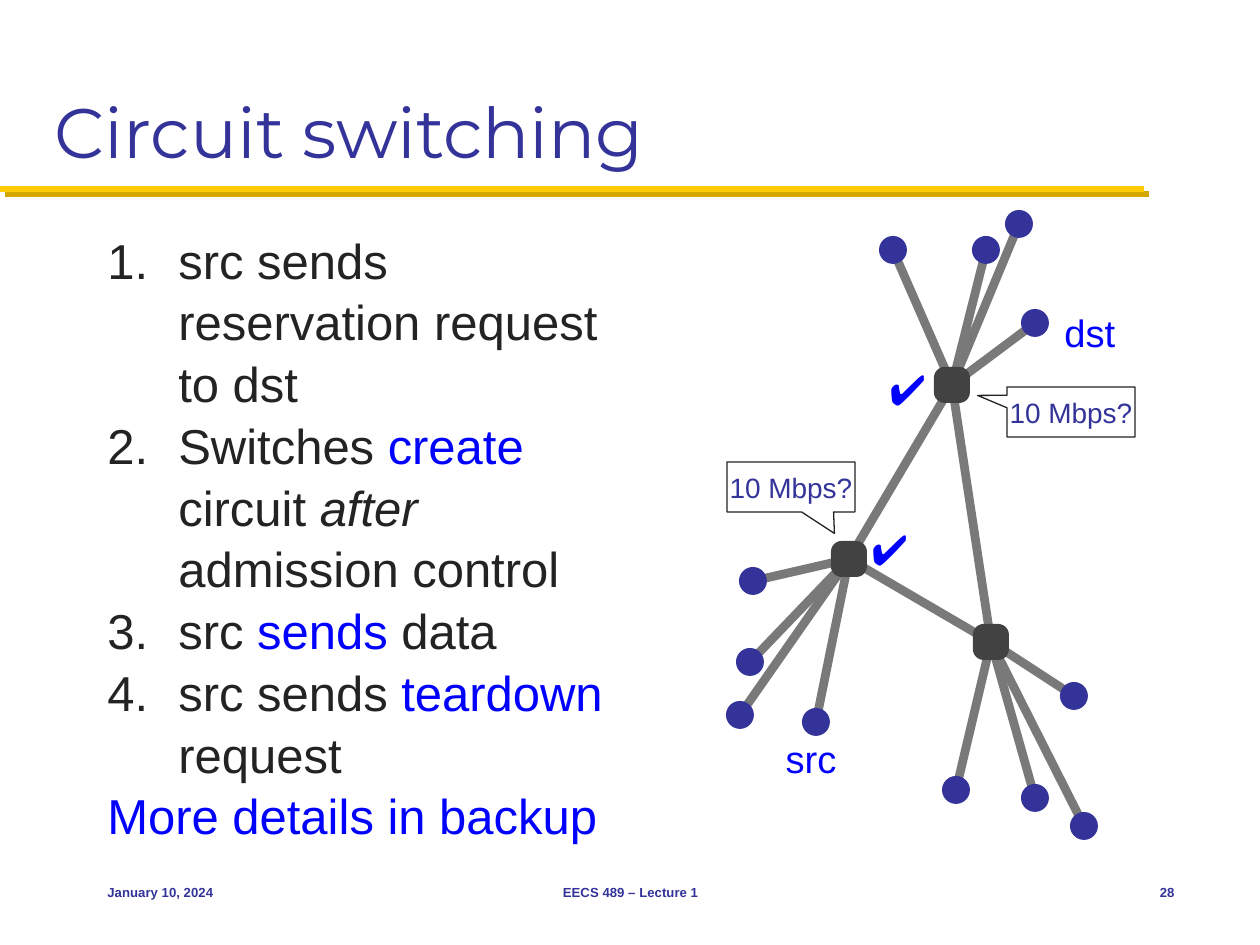
from lxml import etree
from pptx import Presentation
from pptx.dml.color import RGBColor
from pptx.enum.shapes import MSO_CONNECTOR, MSO_SHAPE
from pptx.enum.text import MSO_ANCHOR, PP_ALIGN
from pptx.oxml.ns import qn
from pptx.util import Emu, Pt

PX = 914400 / 126
LEFT, CENTER, RIGHT = PP_ALIGN.LEFT, PP_ALIGN.CENTER, PP_ALIGN.RIGHT
TOP, MIDDLE, BOTTOM = MSO_ANCHOR.TOP, MSO_ANCHOR.MIDDLE, MSO_ANCHOR.BOTTOM
STRAIGHT = MSO_CONNECTOR.STRAIGHT
OVAL, ROUNDED = MSO_SHAPE.OVAL, MSO_SHAPE.ROUNDED_RECTANGLE
CALLOUT = MSO_SHAPE.RECTANGULAR_CALLOUT
NAVY, BLUE, INK = "333399", "0000FF", "232323"
GRAY, DARK = "797979", "424242"


def px(*lengths):
    return [Emu(round(n * PX)) for n in lengths]


def rgb(color):
    return RGBColor.from_string(color)


prs = Presentation()
prs.slide_width, prs.slide_height = px(1260, 945)
slide = prs.slides.add_slide(prs.slide_layouts[6])
shapes = slide.shapes

# Network: each switch with the hosts attached to it
switches = {
    (849, 559): [(753, 581), (750, 662), (740, 715), (816, 722)],
    (991, 642): [(956, 790), (1035, 798), (1084, 826), (1074, 696)],
    (952, 385): [(893, 250), (986, 250), (1019, 224), (1035, 323)],
}
left_switch, right_switch, top_switch = switches
links = [(switch, host) for switch, hosts in switches.items() for host in hosts]
links += [(left_switch, top_switch), (left_switch, right_switch),
          (top_switch, right_switch)]

# Title rule over its darker edge, then the network links
lines = [((5, 194), (1149, 194), "D3A600", 3.5),
         ((0, 189), (1144, 189), "FFCB05", 3.5)]
lines += [(start, end, GRAY, 5) for start, end in links]
for start, end, color, weight in lines:
    line = shapes.add_connector(STRAIGHT, *px(*start, *end))
    line.line.color.rgb = rgb(color)
    line.line.width = Pt(weight)
    etree.SubElement(line._element.spPr, qn("a:effectLst"))

nodes = [(host, OVAL, 28, NAVY) for hosts in switches.values() for host in hosts]
nodes += [(switch, ROUNDED, 36, DARK) for switch in switches]
for (x, y), kind, size, color in nodes:
    node = shapes.add_shape(kind, *px(x - size / 2, y - size / 2, size, size))
    node.shadow.inherit = False
    node.fill.solid()
    node.fill.fore_color.rgb = rgb(color)
    node.line.fill.background()
    if kind == ROUNDED:
        node.adjustments[0] = 0.3

# Reservation questions at the switches
for x, y, tail_x, tail_y in [(727, 462, 0.34, 0.93), (1007, 387, -0.73, -0.33)]:
    question = shapes.add_shape(CALLOUT, *px(x, y, 128, 50))
    question.shadow.inherit = False
    question.adjustments[0], question.adjustments[1] = tail_x, tail_y
    question.fill.background()
    question.line.color.rgb = rgb(INK)
    question.line.width = Pt(0.75)
    frame = question.text_frame
    frame.word_wrap = False
    frame.vertical_anchor = MIDDLE
    words = frame.paragraphs[0]
    words.text = "10 Mbps?"
    words.alignment = CENTER
    words.font.size, words.font.name = Pt(16), "Arial"
    words.font.color.rgb = rgb(NAVY)

# Single-line texts: text, box, font, size, color, bold, alignment, anchor
labels = [
    ("Circuit switching", (42, 21, 1176, 158), "Montserrat", 40, NAVY, False, LEFT, BOTTOM),
    ("dst", (1052, 304, 76, 57), "Arial", 21.8, BLUE, False, CENTER, MIDDLE),
    ("src", (773, 730, 76, 57), "Arial", 21.8, BLUE, False, CENTER, MIDDLE),
    ("✔️", (859, 517, 68, 63), "Calibri", 24, BLUE, False, LEFT, TOP),
    ("✔️", (877, 357, 68, 63), "Calibri", 24, BLUE, False, LEFT, TOP),
    ("January 10, 2024", (95, 861, 262, 63), "Arial", 7.5, NAVY, True, LEFT, MIDDLE),
    ("EECS 489 – Lecture 1", (431, 861, 399, 63), "Arial", 7.5, NAVY, True, CENTER, MIDDLE),
    ("28", (1103, 861, 84, 63), "Arial", 7.5, NAVY, True, RIGHT, MIDDLE),
]
for text, box, font, size, color, bold, alignment, anchor in labels:
    frame = shapes.add_textbox(*px(*box)).text_frame
    frame.word_wrap = True
    frame.vertical_anchor = anchor
    label = frame.paragraphs[0]
    label.text = text
    label.alignment = alignment
    label.font.name, label.font.size, label.font.bold = font, Pt(size), bold
    label.font.color.rgb = rgb(color)

# Numbered steps and a closing remark: runs of text, color, italic
steps = [
    [("src sends reservation request to dst", INK, False)],
    [("Switches ", INK, False), ("create", BLUE, False), (" circuit ", INK, False),
     ("after", INK, True), (" admission control", INK, False)],
    [("src ", INK, False), ("sends", BLUE, False), (" data", INK, False)],
    [("src sends ", INK, False), ("teardown", BLUE, False), (" request", INK, False)],
    [("More details in backup", BLUE, False)],
]
body = shapes.add_textbox(*px(95, 221, 535, 609)).text_frame
body.word_wrap = True
indent, = px(71)
for number, runs in enumerate(steps):
    step = body.paragraphs[0] if number == 0 else body.add_paragraph()
    step.line_spacing = 1.05
    if number < len(steps) - 1:
        properties = step._p.get_or_add_pPr()
        properties.set("marL", str(indent))
        properties.set("indent", str(-indent))
        color = etree.SubElement(properties, qn("a:buClr"))
        etree.SubElement(color, qn("a:srgbClr"), val=INK)
        etree.SubElement(properties, qn("a:buFont"), typeface="+mj-lt")
        etree.SubElement(properties, qn("a:buAutoNum"), type="arabicPeriod")
    step.font.name, step.font.size = "Arial", Pt(28)
    for text, color, italic in runs:
        run = step.add_run()
        run.text = text
        run.font.color.rgb = rgb(color)
        run.font.italic = italic

prs.save("out.pptx")
